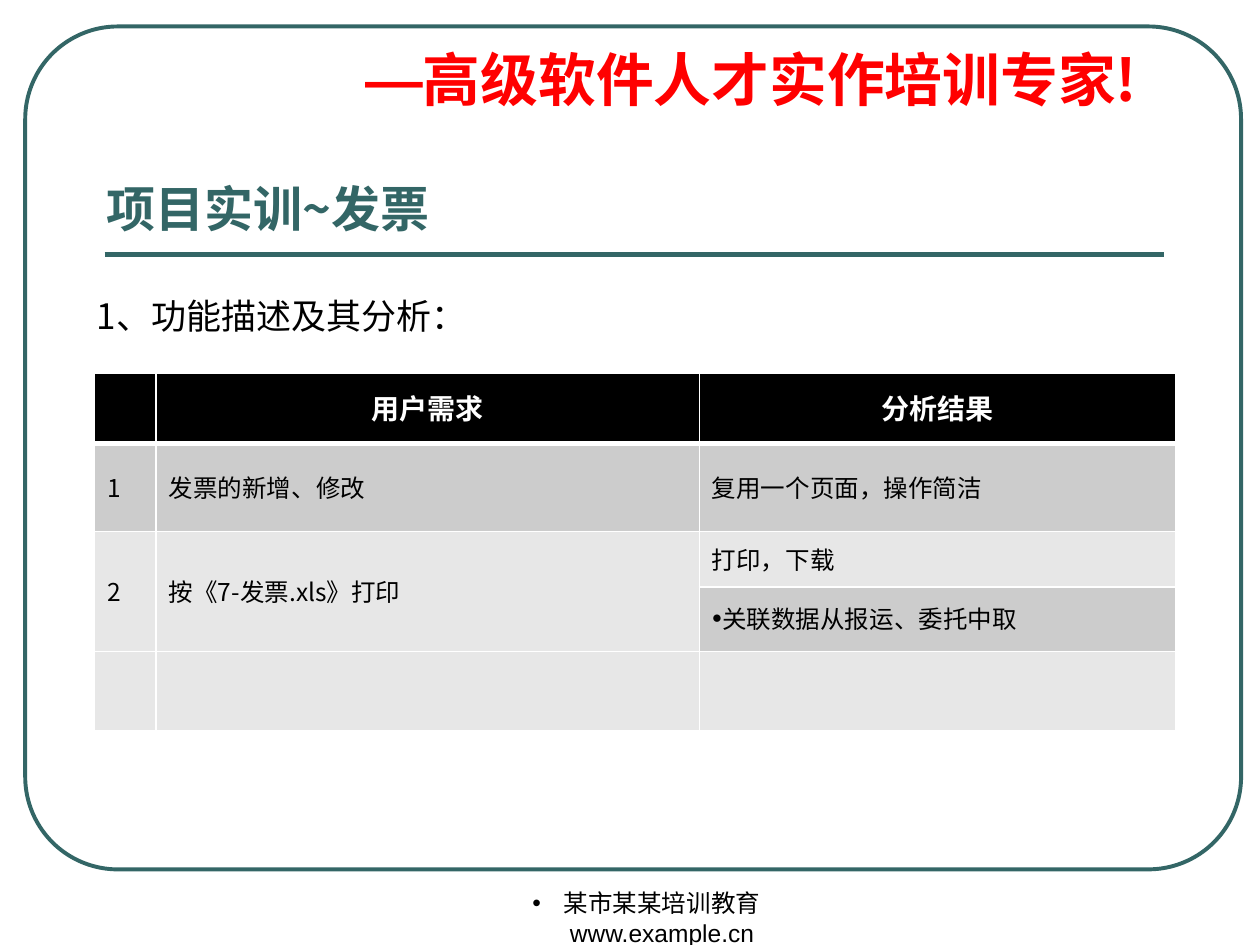
import pptx
import pptx.util
import pptx.dml.color
import pptx.enum.shapes
import pptx.enum.text
import pptx.oxml.ns
from lxml import etree

Inches, Pt = pptx.util.Inches, pptx.util.Pt
RGBColor = pptx.dml.color.RGBColor
ALIGN = pptx.enum.text.PP_ALIGN
ANCHOR = pptx.enum.text.MSO_ANCHOR
qn = pptx.oxml.ns.qn

TEAL = RGBColor(0x33, 0x66, 0x66)
RED = RGBColor(0xFF, 0x00, 0x00)
BLACK = RGBColor(0x00, 0x00, 0x00)
WHITE = RGBColor(0xFF, 0xFF, 0xFF)
GREY = RGBColor(0xCC, 0xCC, 0xCC)
LIGHT = RGBColor(0xE7, 0xE7, 0xE7)
CJK = "Noto Sans CJK SC"


def add_run(p, text, size=14, font=CJK, color=BLACK, bold=False):
    r = p.add_run()
    r.text = text
    r.font.size = Pt(size)
    r.font.bold = bold
    r.font.color.rgb = color
    r.font.name = font
    etree.SubElement(r.font._element, qn("a:ea"), typeface=font)
    return r


def format_paragraph(p, align=ALIGN.LEFT, spacing=None, before=0,
                     indent=0, hanging=0, bullet=None, bullet_size=100):
    p.alignment = align
    if spacing:
        p.line_spacing = spacing
    p.space_before = Pt(before)
    pPr = p._p.get_or_add_pPr()
    pPr.set("marL", str(Inches(indent)))
    pPr.set("indent", str(-Inches(hanging)))
    if bullet:
        clr = etree.SubElement(pPr, qn("a:buClr"))
        etree.SubElement(clr, qn("a:srgbClr"), val=str(BLACK))
        etree.SubElement(pPr, qn("a:buSzPct"), val=str(bullet_size * 1000))
        etree.SubElement(pPr, qn("a:buFont"), typeface="Arial")
        etree.SubElement(pPr, qn("a:buChar"), char=bullet)


def set_border(cell, side, width):
    ln = etree.Element(qn("a:ln" + side), w=str(Pt(width)))
    fill = etree.SubElement(ln, qn("a:solidFill"))
    etree.SubElement(fill, qn("a:srgbClr"), val=str(WHITE))
    return ln


class SlideBuilder:
    def __init__(self, s):
        self.s = s

    def frame(self, x, y, w, h):
        sp = self.s.shapes.add_shape(
            pptx.enum.shapes.MSO_SHAPE.ROUNDED_RECTANGLE,
            Inches(x), Inches(y), Inches(w), Inches(h))
        sp.adjustments[0] = 0.11
        sp.shadow.inherit = False
        sp.fill.background()
        sp.line.color.rgb = TEAL
        sp.line.width = Pt(2.25)

    def rule(self, x1, x2, y):
        line = self.s.shapes.add_connector(
            pptx.enum.shapes.MSO_CONNECTOR.STRAIGHT,
            Inches(x1), Inches(y), Inches(x2), Inches(y))
        line.line.color.rgb = TEAL
        line.line.width = Pt(3)
        etree.SubElement(line._element.spPr, qn("a:effectLst"))

    def text(self, x, y, w, h, runs, anchor=ANCHOR.TOP, insets=None, **para):
        """Add a one-paragraph box; runs is a list of (text, format) pairs."""
        box = self.s.shapes.add_textbox(Inches(x), Inches(y), Inches(w), Inches(h))
        tf = box.text_frame
        tf.word_wrap = True
        tf.vertical_anchor = anchor
        if insets:
            tf.margin_left, tf.margin_right = map(Inches, insets)
        p = tf.paragraphs[0]
        format_paragraph(p, **para)
        for text, style in runs:
            add_run(p, text, **style)

    def table(self, x, y, widths, heights):
        table = self.s.shapes.add_table(
            len(heights), len(widths), Inches(x), Inches(y),
            Inches(sum(widths)), Inches(sum(heights))).table
        for column, width in zip(table.columns, widths):
            column.width = Inches(width)
        for row, height in zip(table.rows, heights):
            row.height = Inches(height)
        return table

    def cell(self, cell, text, fill, header=False, bullet=None):
        cell.vertical_anchor = ANCHOR.MIDDLE
        tcPr = cell._tc.get_or_add_tcPr()
        for side in "LRTB":
            tcPr.append(set_border(cell, side, 3 if header and side == "B" else 1))
        cell.fill.solid()
        cell.fill.fore_color.rgb = fill
        if text:
            size = 16 if header else 14
            p = cell.text_frame.paragraphs[0]
            format_paragraph(p, align=ALIGN.CENTER if header else ALIGN.LEFT,
                             spacing=0.9, before=size * 0.2,
                             bullet=bullet, bullet_size=70)
            add_run(p, text, size=size, bold=header,
                    color=WHITE if header else BLACK)


def main():
    prs = pptx.Presentation()
    prs.slide_width, prs.slide_height = Inches(10), Inches(7.5)
    b = SlideBuilder(prs.slides.add_slide(prs.slide_layouts[6]))

    b.frame(0.2, 0.21, 9.65, 6.69)
    b.rule(0.83, 9.24, 2.02)
    slogan = dict(size=33, color=RED, bold=True)
    b.text(2.8, 0.36, 6.61, 0.6,
           [("—", dict(slogan, font="Montserrat")),
            ("高级软件人才实作培训专家!", slogan)],
           spacing=0.9, before=6.6, indent=0.38, hanging=0.38)
    b.text(3.67, 7, 3.17, 0.5,
           [("某市某某培训教育 www.example.cn", dict(font="Arial"))],
           insets=(0, 0.25), align=ALIGN.CENTER,
           indent=0.25, hanging=0.25, bullet="•")
    b.text(0.75, 0.36, 8.42, 1.57,
           [("项目实训~发票", dict(size=28, color=TEAL, bold=True))],
           anchor=ANCHOR.BOTTOM)
    b.text(0.67, 2.33, 3.17, 0.4, [("1、功能描述及其分析：", dict(size=20))],
           spacing=0.9, before=4)

    rows = [
        (BLACK, ["", "用户需求", "分析结果"]),
        (GREY, ["1", "发票的新增、修改", "复用一个页面，操作简洁"]),
        (LIGHT, ["2", "按《7-发票.xls》打印", "打印，下载"]),
        (GREY, ["", "", "关联数据从报运、委托中取"]),
        (LIGHT, ["", "", ""]),
    ]
    table = b.table(0.75, 2.96, [0.49, 4.31, 3.78], [0.56, 0.7, 0.44, 0.51, 0.63])
    for i, (fill, texts) in enumerate(rows):
        for j, text in enumerate(texts):
            b.cell(table.cell(i, j), text, fill, header=i == 0,
                   bullet="●" if i == 3 and text else None)
    for j in (0, 1):
        table.cell(2, j).merge(table.cell(3, j))

    prs.save("out.pptx")


if __name__ == "__main__":
    main()
